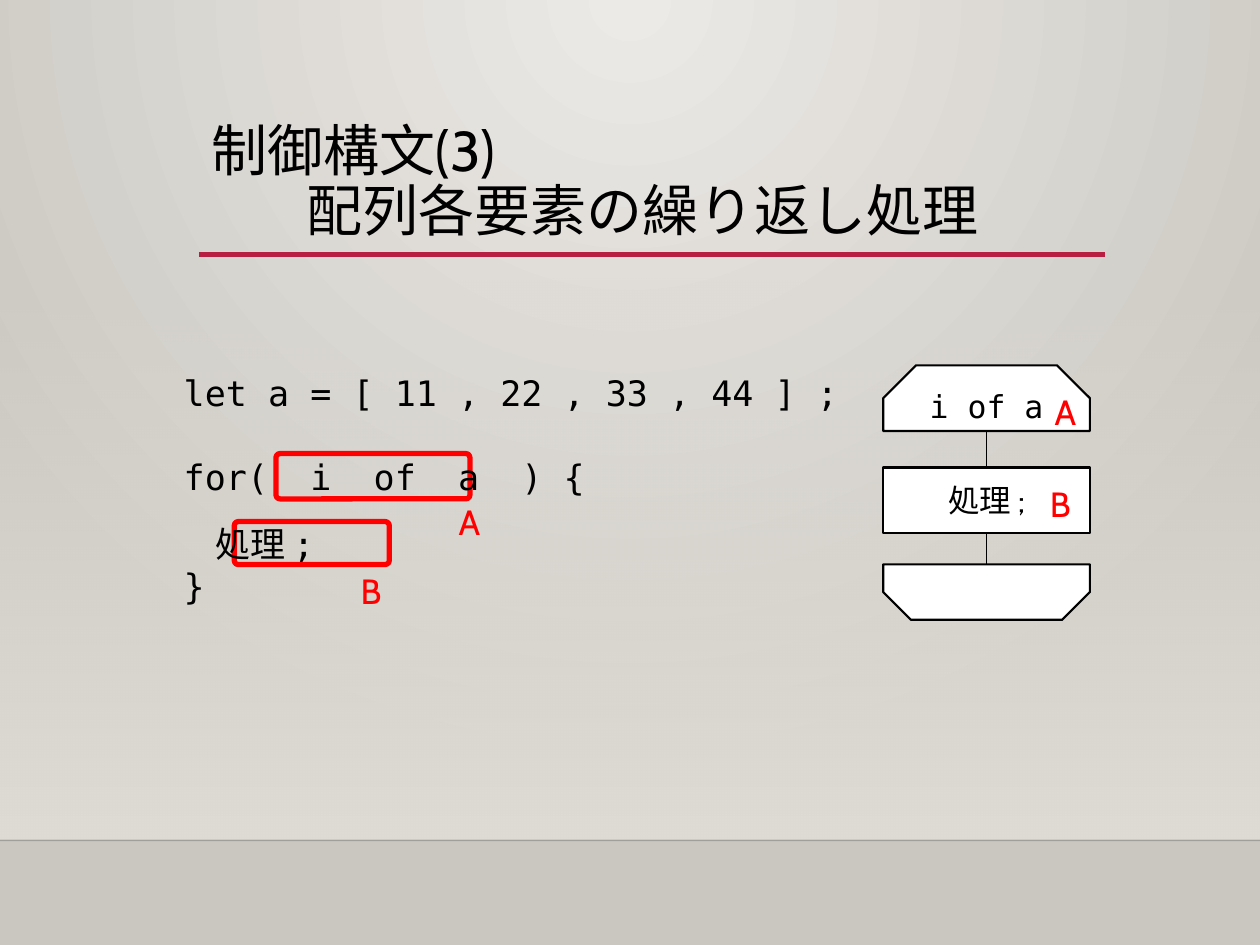
import pptx
import pptx.dml.color
import pptx.enum.shapes
import pptx.enum.text
import pptx.oxml.ns
import pptx.util
from lxml import etree
from pptx.util import Inches

SHAPES = pptx.enum.shapes.MSO_SHAPE
ALIGN = pptx.enum.text.PP_ALIGN
ANCHOR = pptx.enum.text.MSO_ANCHOR
TEXT_FONT = "Cabin"
CODE_FONT = "DejaVu Sans Mono"
BLACK = "000000"
RED = "FF0000"
WHITE = "FFFFFF"

FLOW_LEFT, FLOW_WIDTH = 7.01, 1.64
FLOW_CENTER = FLOW_LEFT + FLOW_WIDTH / 2


def color(value):
    return pptx.dml.color.RGBColor.from_string(value)


def qualified(tag):
    return pptx.oxml.ns.qn(tag)


def set_alpha(color_parent, percent):
    """Set the opacity of the RGB colour found below an element."""
    rgb = next(color_parent.iter(qualified("a:srgbClr")))
    etree.SubElement(rgb, qualified("a:alpha"), val=str(percent * 1000))


def set_gradient(fill, first, last):
    fill.gradient()
    for stop, value in zip(fill.gradient_stops, (first, last)):
        stop.color.rgb = color(value)


def add_run(paragraph, text, size, font=TEXT_FONT, value=BLACK):
    run = paragraph.add_run()
    run.text = text
    run.font.size = pptx.util.Pt(size)
    run.font.name = font
    run.font.color.rgb = color(value)


def set_background(slide):
    fill = slide.background.fill
    set_gradient(fill, "ECEAE7", "CAC7C1")
    properties = slide.background._cSld.bg.bgPr
    linear = next(properties.iter(qualified("a:lin")))
    circle = etree.Element(qualified("a:path"), {"path": "circle"})
    etree.SubElement(circle, qualified("a:fillToRect"),
                     l="43000", t="0", r="43000", b="100000")
    linear.getparent().replace(linear, circle)


def add_haze(slide):
    """Fade the lower background from clear to a plain tone."""
    shape = slide.shapes.add_shape(
        SHAPES.RECTANGLE, 0, Inches(2.2), Inches(10), Inches(4.46))
    shape.shadow.inherit = False
    shape.line.fill.background()
    set_gradient(shape.fill, "DFDBD5", "DFDBD5")
    shape.fill.gradient_angle = 270
    set_alpha(shape._element.spPr, 0)


def add_line(slide, start, end, value, width):
    points = [Inches(length) for length in (*start, *end)]
    line = slide.shapes.add_connector(
        pptx.enum.shapes.MSO_CONNECTOR.STRAIGHT, *points)
    line.line.color.rgb = color(value)
    line.line.width = pptx.util.Pt(width)
    etree.SubElement(line._element.spPr, qualified("a:effectLst"))
    return line


def add_title(slide):
    title = slide.shapes.title
    title.left, title.top = Inches(1.58), Inches(0.88)
    title.width, title.height = Inches(7.19), Inches(1.15)
    frame = title.text_frame
    frame.vertical_anchor = ANCHOR.MIDDLE
    paragraph = frame.paragraphs[0]
    paragraph.alignment = ALIGN.LEFT
    paragraph.line_spacing = 0.9
    paragraph._p.get_or_add_pPr().set("defTabSz", str(Inches(0.75)))
    add_run(paragraph, "制御構文(3)", 32)
    paragraph.add_line_break()
    add_run(paragraph, "\t配列各要素の繰り返し処理", 32)


def add_box(slide, kind, left, top, width, height, line_value, line_width,
            fill=None):
    shape = slide.shapes.add_shape(
        kind, Inches(left), Inches(top), Inches(width), Inches(height))
    shape.shadow.inherit = False
    shape.line.color.rgb = color(line_value)
    shape.line.width = pptx.util.Pt(line_width)
    if fill:
        shape.fill.solid()
        shape.fill.fore_color.rgb = color(fill)
    else:
        shape.fill.background()
    return shape


def add_highlight(slide, left, top, width, height):
    shape = add_box(slide, SHAPES.ROUNDED_RECTANGLE, left, top, width, height,
                    RED, 3)
    shape.adjustments[0] = 0.09


def add_flow_step(slide, kind, top, height, text="", font=TEXT_FONT):
    shape = add_box(slide, kind, FLOW_LEFT, top, FLOW_WIDTH, height,
                    BLACK, 1.25, WHITE)
    if kind == SHAPES.SNIP_2_SAME_RECTANGLE:
        shape.adjustments[0] = 0.5
    if text:
        shape.text_frame.vertical_anchor = ANCHOR.MIDDLE
        paragraph = shape.text_frame.paragraphs[0]
        paragraph.alignment = ALIGN.CENTER
        add_run(paragraph, text, 18, font)
    return shape


def add_text_box(slide, left, top, width, height):
    box = slide.shapes.add_textbox(
        Inches(left), Inches(top), Inches(width), Inches(height))
    box.text_frame.word_wrap = True
    return box.text_frame


def add_label(slide, text, left, top):
    paragraph = add_text_box(slide, left, top, 0.61, 0.44).paragraphs[0]
    paragraph.alignment = ALIGN.CENTER
    add_run(paragraph, text, 20, value=RED)


def add_code(slide):
    frame = add_text_box(slide, 1.36, 2.9, 5.52, 1.99)
    lines = [  # text, points above, indent in inches
        ("let a = [ 11 , 22 , 33 , 44 ] ;", 0, 0),
        ("for(  i  of  a  ) {", 24, 0),
        ("処理 ;", 14, 0.25),
        ("}", 0, 0),
    ]
    for index, (text, space, indent) in enumerate(lines):
        paragraph = frame.add_paragraph() if index else frame.paragraphs[0]
        paragraph.space_before = pptx.util.Pt(space)
        paragraph._p.get_or_add_pPr().set("marL", str(Inches(indent)))
        add_run(paragraph, text, 20, CODE_FONT)


def add_flowchart(slide):
    snipped = SHAPES.SNIP_2_SAME_RECTANGLE
    add_flow_step(slide, snipped, 2.9, 0.52, "i of a", CODE_FONT)
    loop_end = add_flow_step(slide, snipped, 4.48, 0.44)
    loop_end._element.spPr.xfrm.set("flipV", "1")
    add_flow_step(slide, SHAPES.RECTANGLE, 3.71, 0.52, "処理 ;")
    add_label(slide, "A", 8.15, 3.05)
    add_label(slide, "B", 8.11, 3.78)
    for top, bottom in ((3.42, 3.71), (4.23, 4.48)):
        add_line(slide, (FLOW_CENTER, top), (FLOW_CENTER, bottom), BLACK, 0.75)


def main():
    presentation = pptx.Presentation()
    presentation.slide_width = Inches(10)
    presentation.slide_height = Inches(7.5)
    slide = presentation.slides.add_slide(presentation.slide_layouts[5])
    set_background(slide)
    add_haze(slide)
    floor = add_line(slide, (0, 6.67), (10, 6.67), "000001", 1)
    set_alpha(floor._element.spPr, 20)
    add_line(slide, (1.58, 2.02), (8.77, 2.02), "B71E42", 2.5)
    add_title(slide)
    add_highlight(slide, 1.86, 4.14, 1.23, 0.34)
    add_highlight(slide, 2.19, 3.6, 1.54, 0.36)
    add_label(slide, "A", 3.42, 3.92)
    add_code(slide)
    add_label(slide, "B", 2.64, 4.47)
    add_flowchart(slide)
    presentation.save("out.pptx")


if __name__ == "__main__":
    main()
